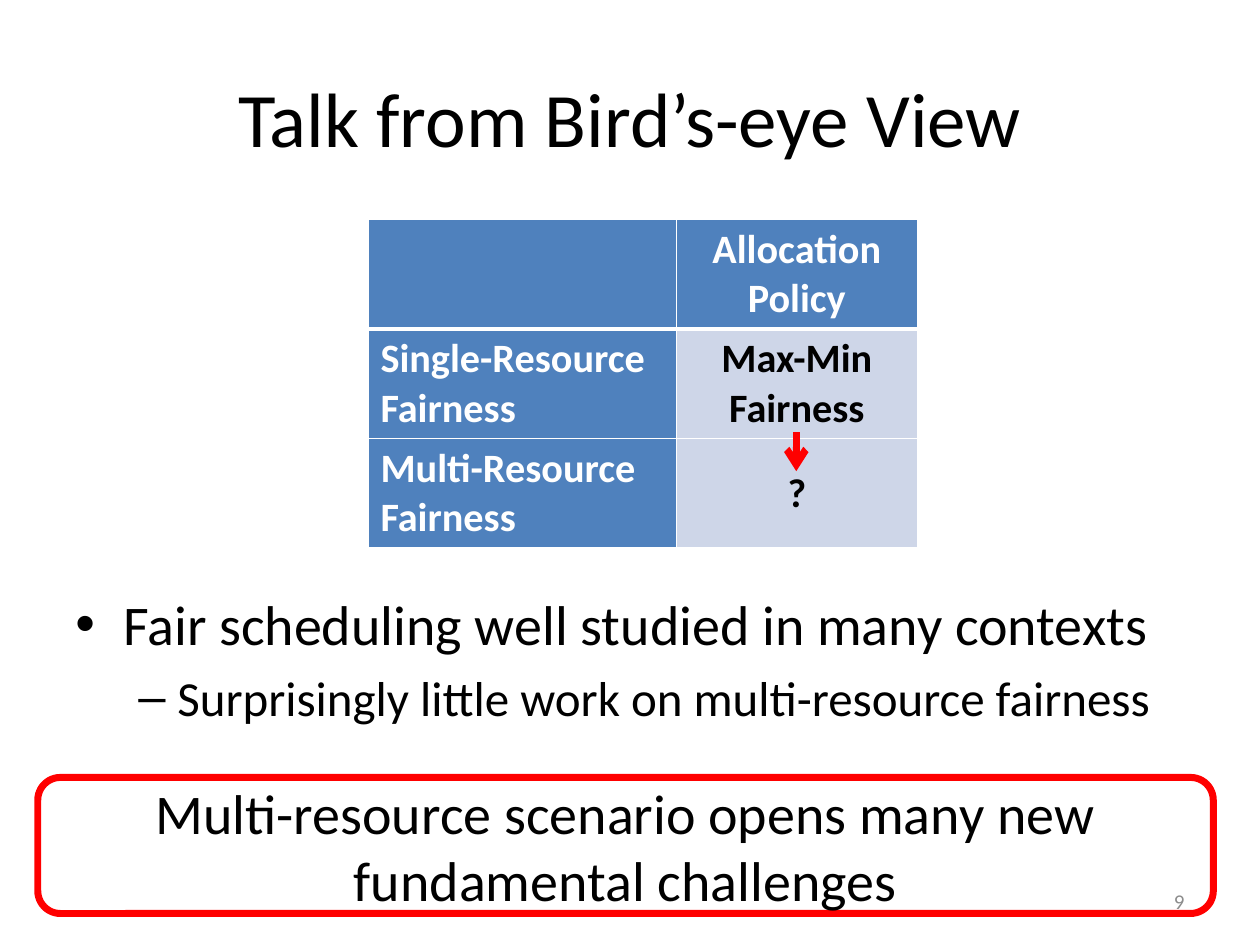
from lxml import etree
from pptx import Presentation
from pptx.dml.color import RGBColor
from pptx.enum import shapes, text
from pptx.oxml import ns
from pptx.util import Inches, Pt

HUES = {"black": "000000", "white": "FFFFFF", "gray": "8C8C8C",
        "red": "FF0000", "blue": "4F81BD", "pale": "CED6E8"}
LEFT, MID, RIGHT = text.PP_ALIGN.LEFT, text.PP_ALIGN.CENTER, text.PP_ALIGN.RIGHT


def rgb(name):
    return RGBColor.from_string(HUES[name])


def write(frame, lines, size, hue="black", align=LEFT, bold=False):
    """Fill a text frame with lines, one paragraph each, in one style."""
    frame.word_wrap = True
    frame.text = "\n".join(lines)
    for para in frame.paragraphs:
        para.alignment = align
        for run in para.runs:
            font = run.font
            font.name, font.size, font.bold = "Calibri", Pt(size), bold
            font.color.rgb = rgb(hue)


deck = Presentation()
deck.slide_width, deck.slide_height = Inches(10), Inches(7.5)
slide = deck.slides.add_slide(deck.slide_layouts[6])
items = slide.shapes

# Title and page number
for line, box, size, hue, align in [
        ("Talk from Bird’s-eye View", (0.5, 0.3, 9, 1.25), 44, "black", MID),
        ("9", (7.17, 6.95, 2.33, 0.4), 12, "gray", RIGHT)]:
    frame = items.add_textbox(*map(Inches, box)).text_frame
    write(frame, [line], size, hue, align)
    frame.vertical_anchor = text.MSO_ANCHOR.MIDDLE

# Bullets
frame = items.add_textbox(Inches(0.5), Inches(4.63), Inches(9), Inches(1.3)).text_frame
write(frame, ["Fair scheduling well studied in many contexts",
              "Surprisingly little work on multi-resource fairness"], 32)
marks = [("•", 32, 0.38, 0.38, 0), ("–", 28, 0.81, 0.31, 6)]
for para, (mark, size, left, hang, gap) in zip(frame.paragraphs, marks):
    para.runs[0].font.size = Pt(size)
    para.space_before = Pt(gap)
    props = para._p.get_or_add_pPr()
    props.set("marL", str(Inches(left)))
    props.set("indent", str(-Inches(hang)))
    etree.SubElement(props, ns.qn("a:buFont")).set("typeface", "Arial")
    etree.SubElement(props, ns.qn("a:buChar")).set("char", mark)

# Policy tables: the second continues the first
grids = [(1.74, [["", "Allocation Policy"],
                 ["Single-Resource Fairness", "Max-Min Fairness"]]),
         (3.48, [["Multi-Resource Fairness", "?"]])]
for top, rows in grids:
    table = items.add_table(len(rows), 2, Inches(2.92), Inches(top),
                            Inches(4.36), Inches(0.87 * len(rows))).table
    for col, width in zip(table.columns, (2.45, 1.91)):
        col.width = Inches(width)
    for r, row in enumerate(rows):
        for c, words in enumerate(row):
            cell = table.cell(r, c)
            head = c == 0 or words == "Allocation Policy"
            write(cell.text_frame, [words], 23, "white" if head else "black",
                  MID if c else LEFT, True)
            cell.vertical_anchor = text.MSO_ANCHOR.MIDDLE
            cell.margin_top = cell.margin_bottom = Inches(0.04)
            props = cell._tc.get_or_add_tcPr()
            for side in "LRTB":
                thick = r == 0 and len(rows) > 1 and side == "B"
                thick = thick or (r == 1 and side == "T")
                edge = etree.SubElement(props, ns.qn("a:ln" + side))
                edge.set("w", str(Pt(3 if thick else 1)))
                paint = etree.SubElement(edge, ns.qn("a:solidFill"))
                etree.SubElement(paint, ns.qn("a:srgbClr")).set("val", HUES["white"])
            cell.fill.solid()
            cell.fill.fore_color.rgb = rgb("blue" if head else "pale")

# Arrow from the known policy to the open one
arrow = items.add_connector(shapes.MSO_CONNECTOR.STRAIGHT, Inches(6.32), Inches(3.43),
                            Inches(6.32), Inches(3.74))
arrow.line.color.rgb = rgb("red")
arrow.line.width = Pt(4)
etree.SubElement(arrow.line._get_or_add_ln(), ns.qn("a:tailEnd")).set("type", "arrow")
etree.SubElement(arrow._element.spPr, ns.qn("a:effectLst"))

# Closing message
note = items.add_shape(shapes.MSO_SHAPE.ROUNDED_RECTANGLE, Inches(0.3), Inches(6.17),
                       Inches(9.33), Inches(1.08))
note.shadow.inherit = False
note.fill.background()
note.line.color.rgb = rgb("red")
note.line.width = Pt(4)
write(note.text_frame, ["Multi-resource scenario opens many new fundamental challenges"],
      32, align=MID)
note.text_frame.vertical_anchor = text.MSO_ANCHOR.MIDDLE

deck.save("out.pptx")
